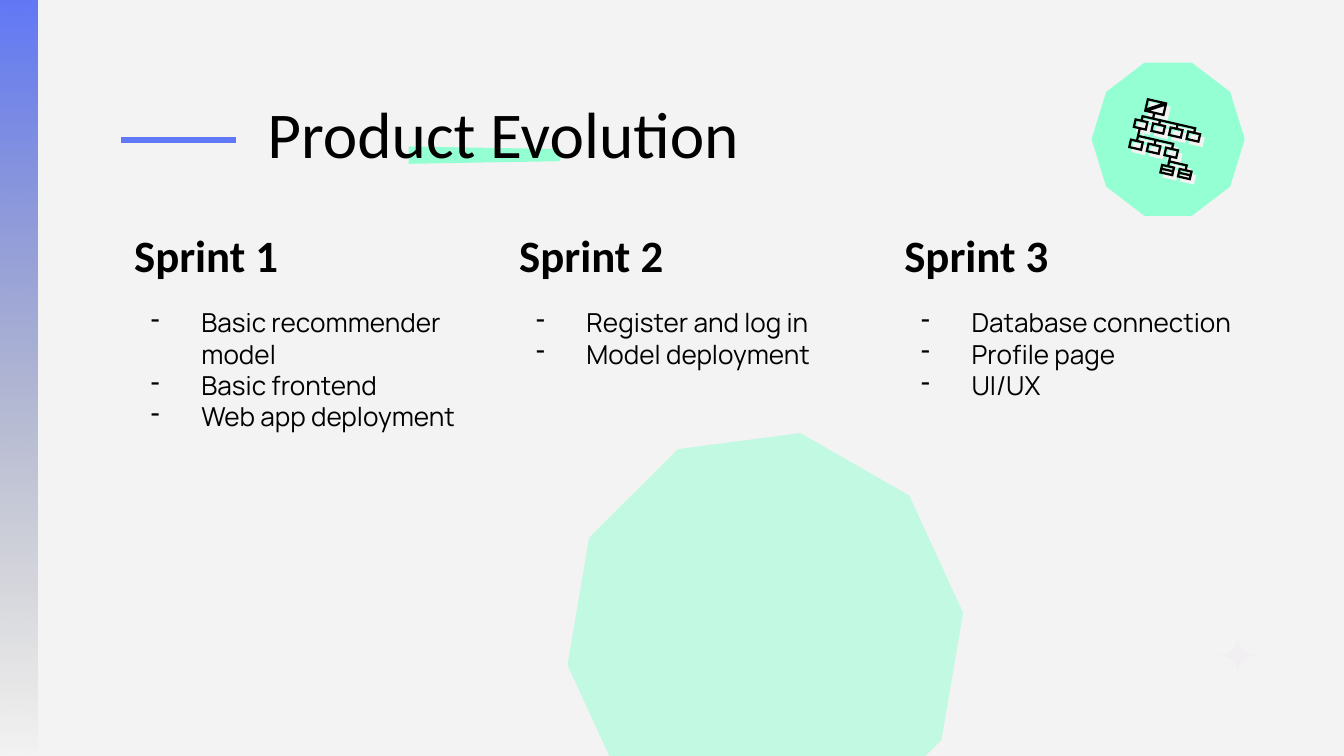
from math import cos, radians, sin

from lxml.etree import SubElement
from pptx import Presentation
from pptx.dml.color import RGBColor
from pptx.enum.shapes import MSO_CONNECTOR, MSO_SHAPE
from pptx.enum.text import MSO_ANCHOR, MSO_AUTO_SIZE, PP_ALIGN
from pptx.oxml.ns import qn
from pptx.util import Pt

# Content
TITLE = "Product Evolution"
SPRINTS = [
    ("Sprint 1", ["Basic recommender model", "Basic frontend", "Web app deployment"]),
    ("Sprint 2", ["Register and log in", "Model deployment"]),
    ("Sprint 3", ["Database connection", "Profile page", "UI/UX"]),
]

THEME = {
    "back": "F3F3F3", "ink": "000000", "blue": "6178F6", "grey": "737373",
    "mint": "95FFD4", "spark": "F1EFF2",
    "head_font": "Calibri", "body_font": "Manrope",
    "title": 35, "heading": 24, "body": 14,
}

# Tree icon: rows of (top, first column, last column, hole style), in points
ICON_ORIGIN, ICON_TILT, STROKE = (614.5, 52.5), 12.9, 1.2
ROOT_SIZE, NODE_SIZE, NODE_LEFT, NODE_PITCH = (11.2, 7.5), (7.7, 5.3), -4, 9.65
TREE_ROWS = [(12, 0, 3, "plain"), (23.1, 0, 2, "plain"), (32.6, 2, 3, "split")]
# Links: bottom of the parent, its centre, top of the bus, row reached
LINKS = [(7.5, 5.6, 9.5, 0), (17.3, -0.15, 20.3, 1), (28.4, 19.15, 29.9, 2)]


def colour(name):
    return RGBColor.from_string(THEME[name])


def set_alpha(fill_element, percent):
    for tint in fill_element.iter(qn("a:srgbClr")):
        SubElement(tint, qn("a:alpha"), val=str(percent * 1000))


def paint(shape, name):
    shape.shadow.inherit = False
    shape.fill.solid()
    shape.fill.fore_color.rgb = colour(name)
    shape.line.fill.background()
    return shape


def add_preset(page, kind, left, top, width, height, name):
    shape = page.shapes.add_shape(kind, Pt(left), Pt(top), Pt(width), Pt(height))
    return paint(shape, name)


def add_outline(page, contours, name):
    """Draw closed contours as one freeform."""
    scaled = [[(Pt(x), Pt(y)) for x, y in contour] for contour in contours]
    builder = page.shapes.build_freeform(*scaled[0][0])
    for number, contour in enumerate(scaled):
        if number:
            builder.move_to(*contour[0])
        builder.add_line_segments(contour[1:], close=True)
    return paint(builder.convert_to_shape(), name)


def add_bullet(para, mark):
    props = para._p.get_or_add_pPr()
    props.set("marL", str(Pt(36)))
    props.set("indent", str(-Pt(27)))
    SubElement(SubElement(props, qn("a:buClr")), qn("a:srgbClr"), val=THEME["ink"])
    SubElement(props, qn("a:buChar"), char=mark)


def write(box, lines, font, size, bold=False, anchor=MSO_ANCHOR.TOP, bullet=None):
    frame = box.text_frame
    frame.word_wrap = True
    frame.auto_size = MSO_AUTO_SIZE.NONE
    frame.vertical_anchor = anchor
    frame.margin_left = frame.margin_right = Pt(7.2)
    frame.margin_top = frame.margin_bottom = Pt(7.2)
    for number, line in enumerate(lines):
        para = frame.add_paragraph() if number else frame.paragraphs[0]
        para.alignment = PP_ALIGN.LEFT
        if bullet:
            add_bullet(para, bullet)
        span = para.add_run()
        span.text = line
        span.font.name, span.font.size = THEME[font], Pt(THEME[size])
        span.font.bold, span.font.color.rgb = bold, colour("ink")


def rect(left, top, width, height):
    return [(left, top), (left + width, top),
            (left + width, top + height), (left, top + height)]


def node_holes(left, top, width, height, style):
    left, top = left + STROKE, top + STROKE
    width, height = width - 2 * STROKE, height - 2 * STROKE
    if style == "split":
        slot = (height - STROKE) / 2
        return [rect(left, top, width, slot),
                rect(left, top + slot + STROKE, width, slot)]
    if style == "diagonal":
        right, bottom = left + width, top + height
        return [[(left, top), (right - 2, top), (left, bottom - 1)],
                [(right, bottom), (left + 2, bottom), (right, top + 1)]]
    return [rect(left, top, width, height)]


def tree_contours():
    """Return the solid parts and the holes of the upright tree."""
    half = STROKE / 2
    nodes = [(0, 0, *ROOT_SIZE, "diagonal")]
    bars = []
    for top, first, last, style in TREE_ROWS:
        nodes += [(NODE_LEFT + NODE_PITCH * column, top, *NODE_SIZE, style)
                  for column in range(first, last + 1)]
    for start, centre, bus, row in LINKS:
        top, first, last, _ = TREE_ROWS[row]
        centres = [NODE_LEFT + NODE_SIZE[0] / 2 + NODE_PITCH * column
                   for column in range(first, last + 1)]
        bars.append(rect(centre - half, start, STROKE, bus - start))
        bars.append(rect(centres[0] - half, bus, centres[-1] - centres[0] + STROKE, STROKE))
        bars += [rect(x - half, bus + STROKE, STROKE, top - bus - STROKE) for x in centres]
    solid = [rect(*node[:4]) for node in nodes] + bars
    return solid, [hole for node in nodes for hole in node_holes(*node)]


def tilt(contours, shift_x=0, shift_y=0):
    across, down = cos(radians(ICON_TILT)), sin(radians(ICON_TILT))
    left, top = ICON_ORIGIN[0] + shift_x, ICON_ORIGIN[1] + shift_y
    return [[(left + x * across - y * down, top + x * down + y * across)
             for x, y in contour] for contour in contours]


def spark_contour(centre_x, centre_y):
    points = []
    for quarter in range(4):
        for x, y in [(0, -9.8), (0.9, -5.8), (2.6, -2.6), (5.8, -0.9)]:
            for _ in range(quarter):
                x, y = -y, x
            points.append((centre_x + x, centre_y + y))
    return points


def main():
    deck = Presentation()
    deck.slide_width, deck.slide_height = Pt(720), Pt(405)
    page = deck.slides.add_slide(deck.slide_layouts[5])
    page.background.fill.solid()
    page.background.fill.fore_color.rgb = colour("back")

    # Spark, title rule and fading side band
    add_outline(page, [spark_contour(663.1, 351)], "spark")
    rule = page.shapes.add_connector(MSO_CONNECTOR.STRAIGHT, Pt(126.7), Pt(74.9), Pt(64.8), Pt(74.9))
    rule.line.color.rgb, rule.line.width = colour("blue"), Pt(3)
    SubElement(rule.element.spPr, qn("a:effectLst"))
    band = add_preset(page, MSO_SHAPE.RECTANGLE, 0, 0, 20.2, 405, "blue")
    band.fill.gradient()
    band.fill.gradient_angle = 270
    for stop, name, position in zip(band.fill.gradient_stops, ("blue", "grey"), (0, 1)):
        stop.color.rgb, stop.position = colour(name), position
    set_alpha(list(band.element.iter(qn("a:gs")))[-1], 0)

    # Decagons
    large = add_preset(page, MSO_SHAPE.DECAGON, 303.1, 235.4, 213.8, 213.8, "mint")
    large.rotation = 352.5
    set_alpha(large.element.spPr, 53)
    add_preset(page, MSO_SHAPE.DECAGON, 584.8, 33.6, 82.1, 82.1, "mint")

    # Tree icon over its pale shade
    solid, holes = tree_contours()
    add_outline(page, tilt(solid, 1.8, 2.2), "back")
    add_outline(page, tilt(solid + holes), "ink")

    # Title over its marker stroke
    add_outline(page, [[(218.9, 78.5), (218.9, 87.8), (300.2, 86.4), (300.2, 79.9)]], "mint")
    title = page.shapes.title
    title.left, title.top, title.width, title.height = Pt(136.1), Pt(42.5), Pt(527.8), Pt(45.4)
    write(title, [TITLE], "head_font", "title")
    title.element.getparent().append(title.element)

    # Sprint columns
    for number, (heading, items) in enumerate(SPRINTS):
        left = Pt(64.8 + 206.3 * number)
        box = page.shapes.add_textbox(left, Pt(128.2), Pt(177.8), Pt(29.5))
        write(box, [heading], "head_font", "heading", bold=True, anchor=MSO_ANCHOR.BOTTOM)
        box = page.shapes.add_textbox(left, Pt(157), Pt(206), Pt(123.8))
        write(box, items, "body_font", "body", bullet="-")

    deck.save("out.pptx")


if __name__ == "__main__":
    main()
